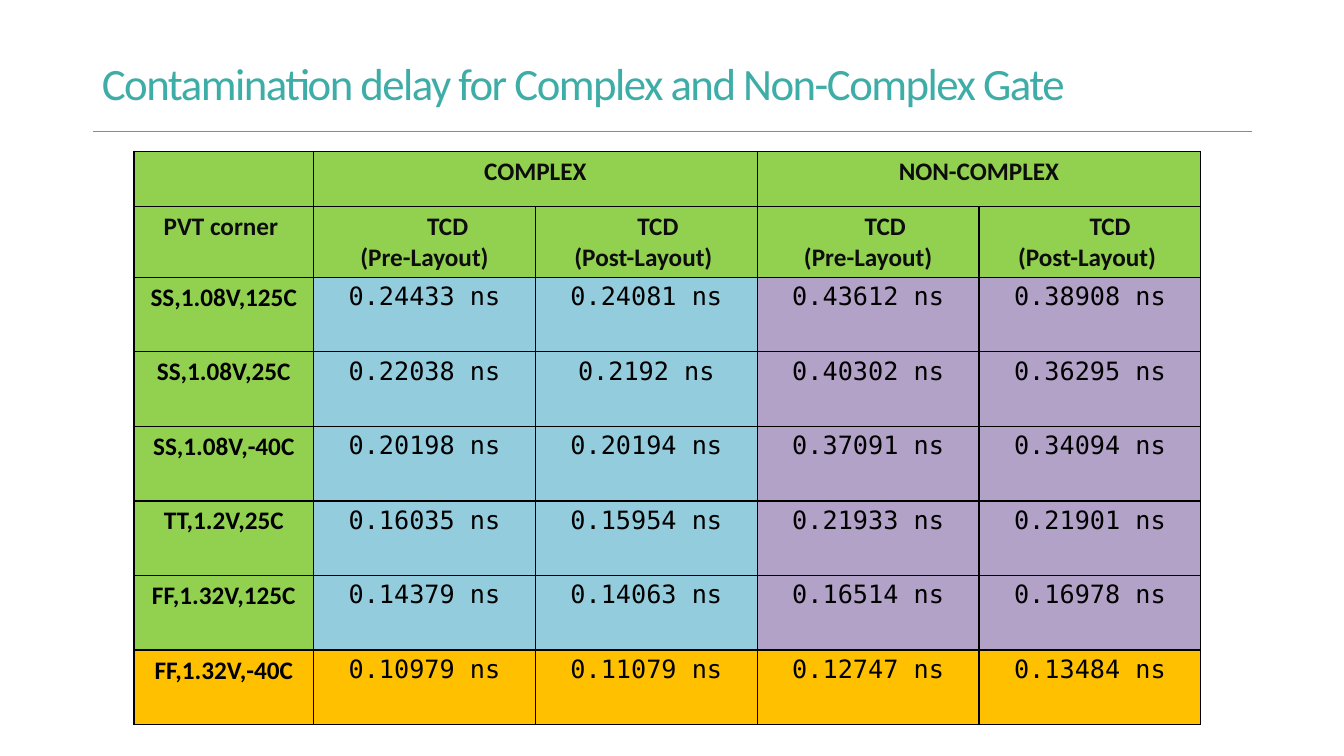
from lxml import etree
from pptx import Presentation
from pptx.dml.color import RGBColor
from pptx.enum import shapes, text
from pptx.oxml.ns import qn
from pptx.util import Inches, Pt

TITLE_TEAL = RGBColor(0x3E, 0xAD, 0xA7)
RULE_TEAL = RGBColor(0x3D, 0xAB, 0xA7)
GREEN = RGBColor(0x92, 0xD0, 0x50)
BLUE = RGBColor(0x93, 0xCD, 0xDD)
PURPLE = RGBColor(0xB3, 0xA2, 0xC7)
AMBER = RGBColor(0xFF, 0xC0, 0x00)
HEADER_INK = RGBColor(0x0D, 0x0D, 0x0D)
BLACK = RGBColor(0, 0, 0)

HEADER_FONT = {"name": "Calibri", "size": Pt(18), "bold": True}
VALUE_FONT = {"name": "DejaVu Sans Mono", "size": Pt(18), "bold": False}
CELL_MARGINS = {"margin_left": Inches(0.05), "margin_right": Inches(0.05),
                "margin_top": Inches(0.05), "margin_bottom": Inches(0.04)}

COLUMN_WIDTHS = [1.78] + [2.2] * 4
ROW_HEIGHTS = [0.55, 0.69] + [0.74] * 6
# Second header line and left indent of "TCD" for each value column
LAYOUT_HEADERS = [("(Pre-Layout)", 0.46), ("(Post-Layout) ", 0.23),
                  ("(Pre-Layout)", 0.34), ("(Post-Layout) ", 0.4)]
DELAYS = [
    ("SS,1.08V,125C", "0.24433", "0.24081", "0.43612", "0.38908"),
    ("SS,1.08V,25C", "0.22038", "0.2192", "0.40302", "0.36295"),
    ("SS,1.08V,-40C", "0.20198", "0.20194", "0.37091", "0.34094"),
    ("TT,1.2V,25C", "0.16035", "0.15954", "0.21933", "0.21901"),
    ("FF,1.32V,125C", "0.14379", "0.14063", "0.16514", "0.16978"),
    ("FF,1.32V,-40C", "0.10979", "0.11079", "0.12747", "0.13484"),
]


def set_attributes(target, values):
    for name, value in values.items():
        setattr(target, name, value)


def format_title(title, wording):
    set_attributes(title, {"left": Inches(1), "top": Inches(0.54),
                           "width": Inches(10.75), "height": Inches(0.55)})
    frame = title.text_frame
    set_attributes(frame, {"margin_left": 0, "margin_top": Inches(0.01),
                           "margin_right": 0, "margin_bottom": 0,
                           "word_wrap": True,
                           "auto_size": text.MSO_AUTO_SIZE.NONE,
                           "vertical_anchor": text.MSO_ANCHOR.TOP})
    paragraph = frame.paragraphs[0]
    set_attributes(paragraph, {"alignment": text.PP_ALIGN.LEFT, "space_before": Pt(1)})
    paragraph._p.get_or_add_pPr().set("marL", str(Inches(0.01)))
    run = paragraph.add_run()
    run.text = wording
    set_attributes(run.font, {"name": "Calibri", "size": Pt(32)})
    run.font.color.rgb = TITLE_TEAL
    run.font._element.set("spc", "-110")


def add_rule(slide):
    rule = slide.shapes.add_connector(shapes.MSO_CONNECTOR.STRAIGHT, Inches(0.92),
                                      Inches(1.3), Inches(12.42), Inches(1.3))
    rule.line.color.rgb = RULE_TEAL
    rule.line.width = Pt(0.75)
    etree.SubElement(rule._element.spPr, qn("a:effectLst"))


def style_cell(cell, fill):
    set_attributes(cell, CELL_MARGINS)
    properties = cell._tc.get_or_add_tcPr()
    for side in ("lnL", "lnR", "lnT", "lnB"):
        border = etree.SubElement(properties, qn(f"a:{side}"), w=str(Pt(1)))
        solid = etree.SubElement(border, qn("a:solidFill"))
        etree.SubElement(solid, qn("a:srgbClr"), val=str(BLACK))
    cell.fill.solid()
    cell.fill.fore_color.rgb = fill


def write_cell(cell, lines, font, color, first_indent=0):
    frame = cell.text_frame
    for index, line in enumerate(lines):
        paragraph = frame.add_paragraph() if index else frame.paragraphs[0]
        paragraph.alignment = text.PP_ALIGN.CENTER
        if first_indent and index == 0:
            paragraph._p.get_or_add_pPr().set("marL", str(Inches(first_indent)))
        run = paragraph.add_run()
        run.text = line
        set_attributes(run.font, font)
        run.font.color.rgb = color


def cell_fill(row, column):
    if row == len(ROW_HEIGHTS) - 1:
        return AMBER
    if row < 2 or column == 0:
        return GREEN
    return BLUE if column < 3 else PURPLE


def add_delay_table(slide):
    table = slide.shapes.add_table(
        len(ROW_HEIGHTS), len(COLUMN_WIDTHS), Inches(1.33), Inches(1.5),
        Inches(sum(COLUMN_WIDTHS)), Inches(sum(ROW_HEIGHTS))).table
    set_attributes(table, {"first_row": False, "horz_banding": False})
    for column, width in zip(table.columns, COLUMN_WIDTHS):
        column.width = Inches(width)
    for row, height in zip(table.rows, ROW_HEIGHTS):
        row.height = Inches(height)
    for row in range(len(ROW_HEIGHTS)):
        for column in range(len(COLUMN_WIDTHS)):
            style_cell(table.cell(row, column), cell_fill(row, column))

    # Header rows
    for column, heading in ((1, "COMPLEX"), (3, "NON-COMPLEX")):
        table.cell(0, column).merge(table.cell(0, column + 1))
        write_cell(table.cell(0, column), [heading], HEADER_FONT, HEADER_INK)
    write_cell(table.cell(1, 0), ["PVT corner "], HEADER_FONT, HEADER_INK)
    for column, (layout, indent) in enumerate(LAYOUT_HEADERS, 1):
        write_cell(table.cell(1, column), ["TCD", layout], HEADER_FONT, HEADER_INK, indent)

    # Delay rows
    for row, (corner, *delays) in enumerate(DELAYS, 2):
        write_cell(table.cell(row, 0), [corner], HEADER_FONT, BLACK)
        for column, delay in enumerate(delays, 1):
            write_cell(table.cell(row, column), [f"{delay} ns"], VALUE_FONT, BLACK)


def main():
    presentation = Presentation()
    presentation.slide_width = Inches(13.33)
    presentation.slide_height = Inches(7.5)
    slide = presentation.slides.add_slide(presentation.slide_layouts.get_by_name("Title Only"))
    format_title(slide.shapes.title, "Contamination delay for Complex and Non-Complex Gate")
    add_rule(slide)
    add_delay_table(slide)
    presentation.save("out.pptx")


if __name__ == "__main__":
    main()
